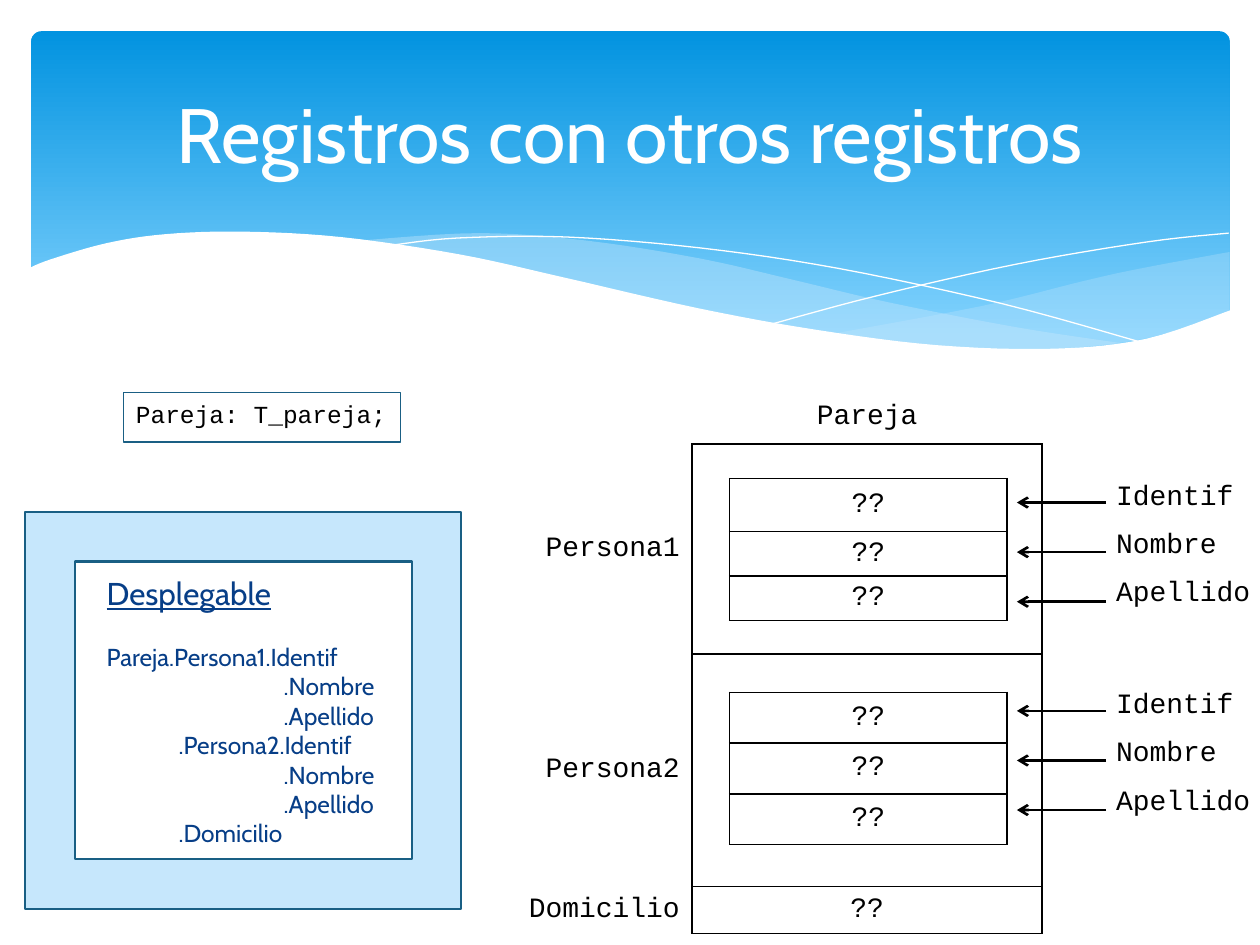
"""Builds the slide on records that contain other records."""
from lxml.etree import SubElement
from pptx import Presentation
from pptx.dml.color import RGBColor
from pptx.enum.shapes import MSO_CONNECTOR as CONN, MSO_SHAPE as SHAPE
from pptx.enum.text import MSO_ANCHOR as ANCHOR, PP_ALIGN as ALIGN
from pptx.oxml.ns import qn
from pptx.util import Cm, Pt

BLACK, WHITE, PALE, NAVY = "000000", "FFFFFF", "C6E7FC", "073E87"
SANS, MONO = "Cabin", "Courier New"
NO_GRID = "{2D5ABB26-0587-4C30-8999-92F81FD0307C}"


def rgb(code):
    return RGBColor.from_string(code)


def smooth(points, steps=6):
    ends = [points[0], *points, points[-1]]
    curve = [points[0]]
    for a, b, c, d in zip(ends, ends[1:], ends[2:], ends[3:]):
        for t in (i / steps for i in range(1, steps + 1)):
            curve.append(tuple(
                q + t / 2 * (r - p + t * (2 * p - 5 * q + 4 * r - s + t * (3 * (q - r) + s - p)))
                for p, q, r, s in zip(a, b, c, d)))
    return curve


def touching_sides(span, boxes):
    top, left, bottom, right = span
    sides = set()
    for r1, c1, r2, c2 in boxes:
        if r1 <= top and bottom <= r2:
            sides |= {k for k, at in (("L", left), ("R", right + 1)) if at in (c1, c2 + 1)}
        if c1 <= left and right <= c2:
            sides |= {k for k, at in (("T", top), ("B", bottom + 1)) if at in (r1, r2 + 1)}
    return sides


class Slide:
    def __init__(self, prs):
        self.s = prs.slides.add_slide(prs.slide_layouts[6])

    def paint(self, sp, fill=None, line=None, width=0.75, alpha=None):
        sp.shadow.inherit = False
        if fill:
            sp.fill.solid()
            sp.fill.fore_color.rgb = rgb(fill)
            if alpha:
                color = sp.fill._xPr.find(qn("a:solidFill"))[0]
                SubElement(color, qn("a:alpha")).set("val", str(alpha * 1000))
        else:
            sp.fill.background()
        if line:
            sp.line.color.rgb = rgb(line)
            sp.line.width = Pt(width)
        else:
            sp.line.fill.background()

    def shape(self, kind, box, **style):
        sp = self.s.shapes.add_shape(kind, *map(Cm, box))
        self.paint(sp, **style)
        return sp

    def wave(self, *curves, corners=(), closed=True, **style):
        points = [p for curve in curves for p in smooth(curve)] + list(corners)
        points = [(Cm(x), Cm(y)) for x, y in points]
        builder = self.s.shapes.build_freeform(*points[0])
        builder.add_line_segments(points[1:], close=closed)
        self.paint(builder.convert_to_shape(), **style)

    def font(self, p, name, size, color, align=ALIGN.LEFT):
        p.alignment = align
        p.font.name, p.font.size = name, Pt(size)
        p.font.color.rgb = rgb(color)

    def text(self, sp, lines, name, size, color, align=ALIGN.LEFT, anchor=ANCHOR.MIDDLE):
        tf = sp.text_frame
        tf.word_wrap, tf.vertical_anchor = True, anchor
        for i, line in enumerate(lines):
            p = tf.paragraphs[0] if i == 0 else tf.add_paragraph()
            p.text = line
            self.font(p, name, size, color, align)
        return tf.paragraphs

    def arrow(self, x1, x2, y):
        c = self.s.shapes.add_connector(CONN.STRAIGHT, Cm(x1), Cm(y), Cm(x2), Cm(y))
        c.line.color.rgb = rgb(BLACK)
        c.line.width = Pt(1.5)
        SubElement(c.line._get_or_add_ln(), qn("a:tailEnd")).set("type", "arrow")
        SubElement(c._element.spPr, qn("a:effectLst"))

    def border(self, cell, sides):
        tc_pr = cell._tc.get_or_add_tcPr()
        for side in "LRTB":
            ln = SubElement(tc_pr, qn(f"a:ln{side}"), w=str(Pt(1)))
            if side in sides:
                SubElement(SubElement(ln, qn("a:solidFill")), qn("a:srgbClr"), val=BLACK)
            else:
                SubElement(ln, qn("a:noFill"))

    def table(self, left, top, cols, rows, texts, aligns, anchor, margin=0, boxes=(), merges=()):
        frame = self.s.shapes.add_table(len(rows), len(cols), Cm(left), Cm(top),
                                        Cm(sum(cols)), Cm(sum(rows)))
        t = frame.table
        t.first_row = t.horz_banding = False
        t._tbl.tblPr.find(qn("a:tableStyleId")).text = NO_GRID
        for col, width in zip(t.columns, cols):
            col.width = Cm(width)
        for row, height in zip(t.rows, rows):
            row.height = Cm(height)
        spans = {span[:2]: span for span in merges}
        for r1, c1, r2, c2 in merges:
            t.cell(r1, c1).merge(t.cell(r2, c2))
        for r in range(len(rows)):
            for c in range(len(cols)):
                cell = t.cell(r, c)
                if cell.is_spanned:
                    continue
                cell.margin_left = cell.margin_right = Cm(margin)
                cell.margin_top = cell.margin_bottom = 0
                cell.vertical_anchor = anchor
                p = cell.text_frame.paragraphs[0]
                p.text = texts.get((r, c), "")
                self.font(p, MONO, 16, BLACK, aligns[c])
                self.border(cell, touching_sides(spans.get((r, c), (r, c, r, c)), boxes))
                cell.fill.background()


def banner(slide):
    sp = slide.shape(SHAPE.ROUNDED_RECTANGLE, (0.63, 0.63, 24.16, 6.86))
    sp.adjustments[0] = 0.03
    sp.fill.gradient()
    sp.fill.gradient_angle = 270
    for stop, color, position in zip(sp.fill.gradient_stops, ("0293E0", "83D3FE"), (0, 0.9)):
        stop.color.rgb = rgb(color)
        stop.position = position
    slide.wave([(24.79, 5.08), (23.01, 5.41), (21.87, 5.66), (19.79, 6.17), (16.79, 6.73)],
               [(16.79, 6.73), (18.59, 6.96), (20.68, 7.06), (22.58, 6.91), (23.75, 6.65),
                (24.79, 6.27)], fill=PALE, alpha=29)
    slide.wave([(22.68, 6.93), (20.5, 6.6), (17.93, 6.1), (15.98, 5.64), (14.1, 5.21),
                (11.81, 4.85), (9.65, 4.7), (7.26, 4.85)],
               [(7.26, 4.85), (9.19, 5.16), (11.4, 5.64), (14.38, 6.3), (16.51, 6.71),
                (18.69, 6.99), (20.78, 7.06), (22.68, 6.93)], fill=PALE, alpha=40)
    slide.wave([(7.85, 4.95), (9.22, 4.8), (11.43, 4.78), (14.12, 5), (16.89, 5.41),
                (20.19, 6.12), (23.04, 6.91)], closed=False, line=WHITE, width=0)
    slide.wave([(15.57, 6.53), (17.65, 5.97), (20.47, 5.33), (23.11, 4.88), (24.77, 4.7)],
               closed=False, line=WHITE, width=0)
    slide.wave([(0.58, 5.41), (1.02, 5.23), (2.16, 4.9), (3.35, 4.72), (4.9, 4.67), (6.88, 4.78),
                (9.27, 5.13), (11.35, 5.59), (14.1, 6.22), (16.46, 6.65), (18.9, 6.96),
                (21.26, 7.03), (23.11, 6.83), (24.82, 6.25)],
               corners=[(24.82, 8.36), (0.58, 8.36)], fill=WHITE)
    title = slide.s.shapes.add_textbox(*map(Cm, (1.27, 0.94, 22.86, 3.48)))
    slide.text(title, ["Registros con otros registros"], SANS, 44, WHITE, ALIGN.CENTER)


def record(slide):
    texts = {(0, 1): "Pareja", (15, 0): "Domicilio", (15, 1): "??"}
    boxes, merges = [(15, 1, 15, 3)], [(0, 1, 0, 3), (15, 1, 15, 3)]
    for i, first in enumerate((1, 8), 1):
        texts[first, 0] = f"Persona{i}"
        boxes.append((first, 1, first + 6, 3))
        merges.append((first, 0, first + 6, 0))
        merges += [(first + a, 4, first + b, 4) for a, b in ((0, 1), (2, 4), (5, 6))]
        for a, b in ((1, 2), (3, 3), (4, 5)):
            texts[first + a, 2] = "??"
            boxes.append((first + a, 2, first + b, 2))
            if a < b:
                merges += [(first + a, c, first + b, c) for c in (1, 2, 3)]
    slide.table(7.7, 7.85, [6.25, 0.76, 5.59, 0.71, 2.1],
                [1.1, 0.7, 0.54, 0.53, 0.89, 0.45, 0.45, 0.65,
                 0.77, 0.51, 0.51, 1.03, 0.51, 0.51, 0.84, 0.95],
                texts, [ALIGN.RIGHT] + [ALIGN.CENTER] * 4, ANCHOR.MIDDLE, 0.25, boxes, merges)
    fields = ["Identif", "Nombre", "Apellido"]
    names = {(r, 0): name for r, name in enumerate(fields + [""] + fields)}
    slide.table(22.5, 9.72, [2.79], [0.97] * 3 + [1.29] + [0.97] * 3,
                names, [ALIGN.LEFT], ANCHOR.TOP)
    for top in (10.13, 14.33):
        for i in range(3):
            slide.arrow(22.3, 20.5, top + i)


def dropdown(slide):
    slide.shape(SHAPE.FRAME, (0.51, 10.32, 8.79, 8), fill=PALE, line="195F84", width=1.25)
    sp = slide.shape(SHAPE.RECTANGLE, (1.9, 11.73, 6, 5.21), fill=WHITE)
    entries = [("Desplegable", 0), ("Pareja.Persona1.Identif", 0), (".Nombre", 3.57),
               (".Apellido", 3.57), (".Persona2.Identif", 1.45), (".Nombre", 3.57),
               (".Apellido", 3.57), (".Domicilio", 1.45)]
    paragraphs = slide.text(sp, [line for line, _ in entries], SANS, 14, NAVY, ALIGN.JUSTIFY)
    for p, (_, indent) in zip(paragraphs, entries):
        p._p.get_or_add_pPr().set("marL", str(Cm(indent)))
    paragraphs[0].font.size, paragraphs[0].font.underline = Pt(18), True
    paragraphs[1].space_before = Pt(17)


def main():
    prs = Presentation()
    prs.slide_width, prs.slide_height = Cm(25.4), Cm(19.05)
    slide = Slide(prs)
    banner(slide)
    sp = slide.shape(SHAPE.RECTANGLE, (2.49, 7.92, 5.59, 0.99), line="1A5F84")
    slide.text(sp, ["Pareja: T_pareja;"], MONO, 14, BLACK, ALIGN.JUSTIFY, ANCHOR.TOP)
    record(slide)
    dropdown(slide)
    prs.save("out.pptx")


if __name__ == "__main__":
    main()
